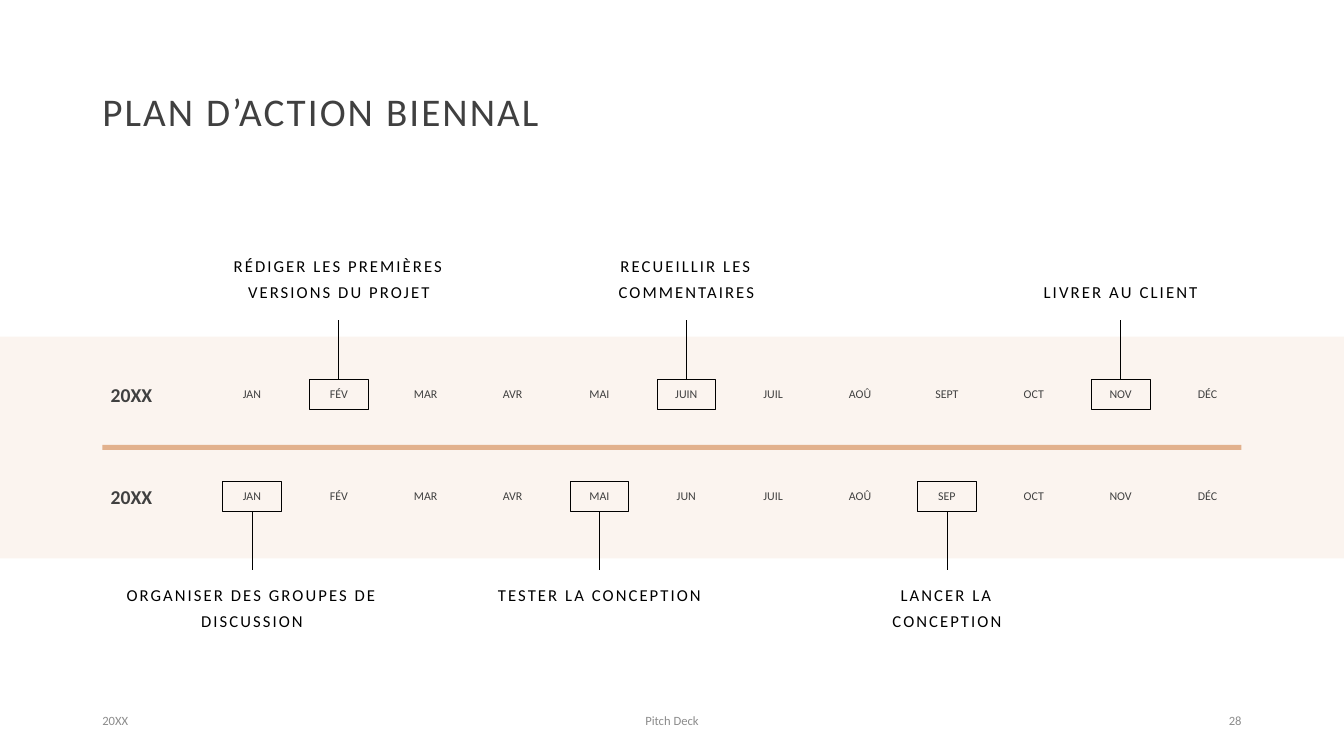
from lxml.etree import SubElement
from pptx import Presentation
from pptx.dml.color import RGBColor
from pptx.enum.shapes import MSO_CONNECTOR as LINE, MSO_SHAPE as SHAPE
from pptx.enum.text import MSO_ANCHOR as ANCHOR, PP_ALIGN as ALIGN
from pptx.oxml.ns import qn
from pptx.util import Pt

COLORS = {"band": "FBF4EF", "rule": "E2B18D", "heading": "404040",
          "ink": "000000", "footer": "8C8C8C"}
FONT = "Calibri"
MONTH_PITCH = 62.05
MONTH_WIDTH = 50.4
MARKER_WIDTH, MARKER_HEIGHT = 41.8, 21.8
TICK = 42
CALLOUT_HEIGHT = 44

FIRST_YEAR = ["JAN", "FÉV", "MAR", "AVR", "MAI", "JUIN",
              "JUIL", "AOÛ", "SEPT", "OCT", "NOV", "DÉC"]
SECOND_YEAR = ["JAN", "FÉV", "MAR", "AVR", "MAI", "JUN",
               "JUIL", "AOÛ", "SEP", "OCT", "NOV", "DÉC"]
FIRST_MILESTONES = [
    (1, "RÉDIGER LES PREMIÈRES VERSIONS DU PROJET", 209.5, 11.9, 1.3),
    (5, "RECUEILLIR LES COMMENTAIRES", 162, 11.9, 1.3),
    (10, "LIVRER AU CLIENT", 162, 12, 1.5),
]
SECOND_MILESTONES = [
    (0, "ORGANISER DES GROUPES DE DISCUSSION", 197.3, 11.9, 1.3),
    (4, "TESTER LA CONCEPTION", 164, 11.9, 1.3),
    (8, "LANCER LA CONCEPTION", 160, 11.9, 1.3),
]


def color(name):
    """Return the named colour of the palette."""
    return RGBColor.from_string(COLORS[name])


def add_text(slide, box, words, size, ink, align=ALIGN.LEFT, anchor=ANCHOR.MIDDLE,
             leading=1.0, before=0, tracking=0, bold=False):
    """Write one paragraph in a box given as left, top, width, height."""
    frame = slide.shapes.add_textbox(*map(Pt, box)).text_frame
    frame.word_wrap = True
    frame.vertical_anchor = anchor
    paragraph = frame.paragraphs[0]
    paragraph.alignment = align
    paragraph.line_spacing = leading
    paragraph.space_before = Pt(before)
    run = paragraph.add_run()
    run.text = words
    run.font.name = FONT
    run.font.size = Pt(size)
    run.font.bold = bold
    run.font.color.rgb = color(ink)
    if tracking:
        run.font._element.set("spc", str(int(tracking * 100)))


def add_block(slide, box, fill=None):
    """Add a filled rectangle, or a thin black frame when no fill is given."""
    block = slide.shapes.add_shape(SHAPE.RECTANGLE, *map(Pt, box))
    block.shadow.inherit = False
    if fill:
        block.fill.solid()
        block.fill.fore_color.rgb = color(fill)
        block.line.fill.background()
    else:
        block.fill.background()
        block.line.color.rgb = color("ink")
        block.line.width = Pt(0.5)
    return block


def add_milestone(slide, center, row_top, above, words, width, size, leading):
    """Frame a month and tie it to its callout above or below the row."""
    marker = add_block(slide, (center - MARKER_WIDTH / 2, row_top,
                               MARKER_WIDTH, MARKER_HEIGHT))
    if above:
        side, start, end = 0, row_top, row_top - TICK
        callout_top = row_top - 51.8 - CALLOUT_HEIGHT
    else:
        side, start = 2, row_top + MARKER_HEIGHT
        end, callout_top = start + TICK, start + 44.5
    tick = slide.shapes.add_connector(LINE.STRAIGHT, Pt(center), Pt(start),
                                      Pt(center), Pt(end))
    tick.begin_connect(marker, side)
    tick.line.color.rgb = color("ink")
    tick.line.width = Pt(0.5)
    SubElement(tick._element.spPr, qn("a:effectLst"))
    add_text(slide, (center - width / 2, callout_top, width, CALLOUT_HEIGHT),
             words, size, "ink", ALIGN.CENTER,
             ANCHOR.BOTTOM if above else ANCHOR.TOP, leading, 10, 1.5)


def add_year(slide, left, top, year, months, milestones, above):
    """Lay out one year: its label, twelve months and their milestones."""
    add_text(slide, (left, top - 6, 57.6, 36), year, 14, "heading",
             leading=0.9, before=10, bold=True)
    centers = [left + 108 + MONTH_PITCH * index for index in range(len(months))]
    for center, month in zip(centers, months):
        add_text(slide, (center - MONTH_WIDTH / 2, top + 5, MONTH_WIDTH, 15.8),
                 month, 8.5, "heading", ALIGN.CENTER, ANCHOR.TOP, 0.7, 10)
    for index, *callout in milestones:
        add_milestone(slide, centers[index], top, above, *callout)


def add_timeline(slide, left, top, width, height):
    """Draw the tinted band with a year on each side of its rule."""
    add_block(slide, (left, top, width, height), "band")
    add_block(slide, (left + 73.2, top + 77.2, 813.6, 3.6), "rule")
    add_year(slide, left + 72, top + 30.2, "20XX", FIRST_YEAR, FIRST_MILESTONES, True)
    add_year(slide, left + 72, top + 103, "20XX", SECOND_YEAR, SECOND_MILESTONES, False)


def add_footer(slide, left, top, width, height):
    """Set the date, deck name and page number along the bottom."""
    for words, share, align in (("20XX", 0, ALIGN.LEFT),
                                ("Pitch Deck", 0.5, ALIGN.CENTER),
                                ("28", 1, ALIGN.RIGHT)):
        part = 324 if align == ALIGN.CENTER else 216
        add_text(slide, (left + (width - part) * share, top, part, height),
                 words, 9, "footer", align)


def main():
    """Build the slide and save it."""
    deck = Presentation()
    deck.slide_width, deck.slide_height = Pt(960), Pt(540)
    slide = deck.slides.add_slide(deck.slide_layouts[6])
    add_timeline(slide, 0, 240.5, 960, 158.4)
    add_text(slide, (66, 28.8, 828, 104.4), "PLAN D’ACTION BIENNAL", 28,
             "heading", leading=0.9, tracking=1.5)
    add_footer(slide, 66, 500.4, 828, 28.8)
    deck.save("out.pptx")


if __name__ == "__main__":
    main()
